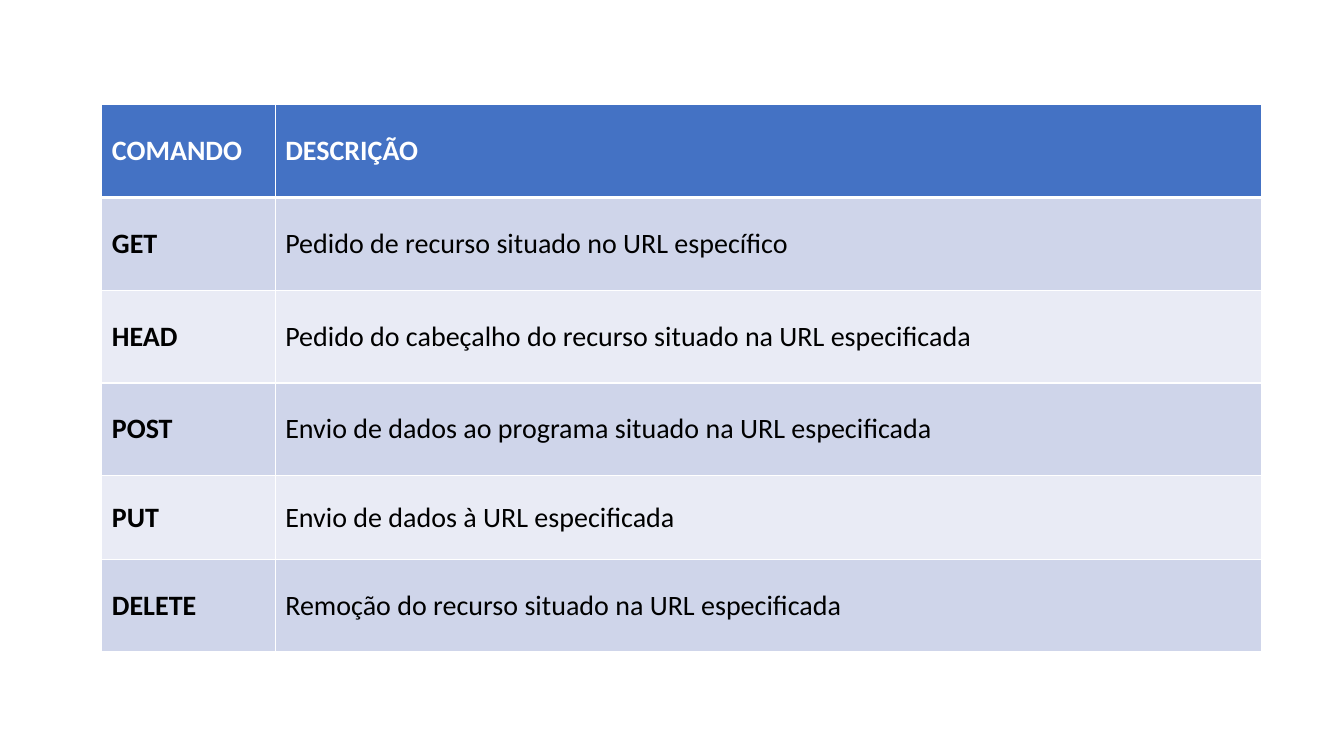
from lxml.etree import SubElement
from pptx import Presentation
from pptx.dml.color import RGBColor
from pptx.enum.text import MSO_ANCHOR as Anchor
from pptx.oxml.ns import qn
from pptx.util import Inches, Pt

WHITE = RGBColor(0xFF, 0xFF, 0xFF)
BLACK = RGBColor(0x00, 0x00, 0x00)
HEADER_BLUE = RGBColor(0x44, 0x72, 0xC4)
BAND_DARK = RGBColor(0xCF, 0xD5, 0xEA)
BAND_LIGHT = RGBColor(0xE9, 0xEB, 0xF5)

COMMANDS = [
    ("COMANDO", "DESCRIÇÃO"),
    ("GET", "Pedido de recurso situado no URL específico"),
    ("HEAD", "Pedido do cabeçalho do recurso situado na URL especificada"),
    ("POST", "Envio de dados ao programa situado na URL especificada"),
    ("PUT", "Envio de dados à URL especificada"),
    ("DELETE", "Remoção do recurso situado na URL especificada"),
]
COLUMN_WIDTHS = [1.72, 9.78]
ROW_HEIGHTS = [0.92, 0.92, 0.92, 0.92, 0.83, 0.92]


def add_border(cell, side, points):
    line = SubElement(cell._tc.get_or_add_tcPr(), qn(f"a:ln{side}"), w=str(Pt(points)))
    fill = SubElement(line, qn("a:solidFill"))
    SubElement(fill, qn("a:srgbClr"), val=str(WHITE))


prs = Presentation()
prs.slide_width = Inches(13.33)
prs.slide_height = Inches(7.5)
slide = prs.slides.add_slide(prs.slide_layouts[6])

# Table of HTTP commands
commands = slide.shapes.add_table(
    len(COMMANDS), len(COLUMN_WIDTHS), Inches(1.01), Inches(1.04),
    Inches(sum(COLUMN_WIDTHS)), Inches(sum(ROW_HEIGHTS))).table
for column, width in zip(commands.columns, COLUMN_WIDTHS):
    column.width = Inches(width)
for row, height in zip(commands.rows, ROW_HEIGHTS):
    row.height = Inches(height)

# Cell text, white rules and banded fills
for r, texts in enumerate(COMMANDS):
    is_header = r == 0
    band = BAND_DARK if r % 2 else BAND_LIGHT
    for c, text in enumerate(texts):
        cell = commands.cell(r, c)
        cell.text = text
        cell.vertical_anchor = Anchor.MIDDLE
        font = cell.text_frame.paragraphs[0].font
        font.name = "Calibri"
        font.size = Pt(20)
        font.bold = is_header or c == 0
        font.color.rgb = WHITE if is_header else BLACK
        for side in "LRTB":
            below_header = (r, side) in [(0, "B"), (1, "T")]
            add_border(cell, side, 3 if below_header else 1)
        cell.fill.solid()
        cell.fill.fore_color.rgb = HEADER_BLUE if is_header else band

prs.save("out.pptx")
